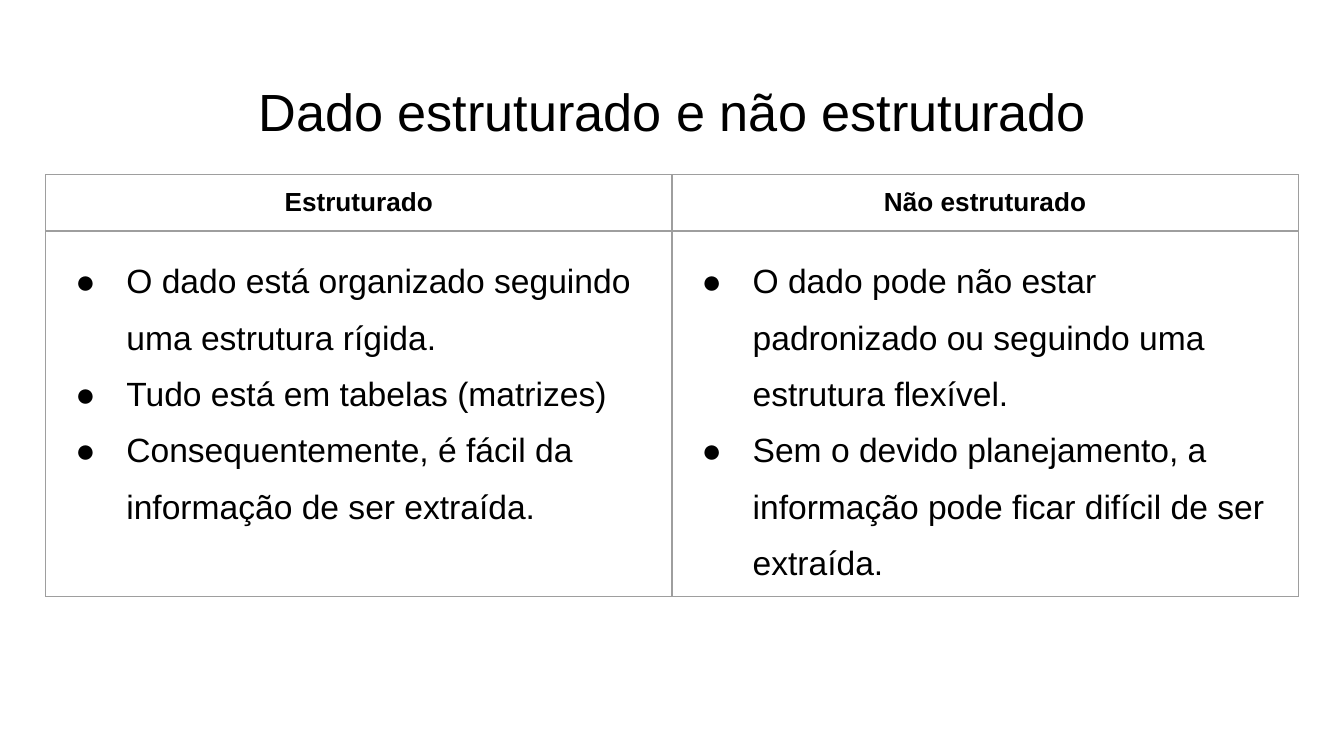
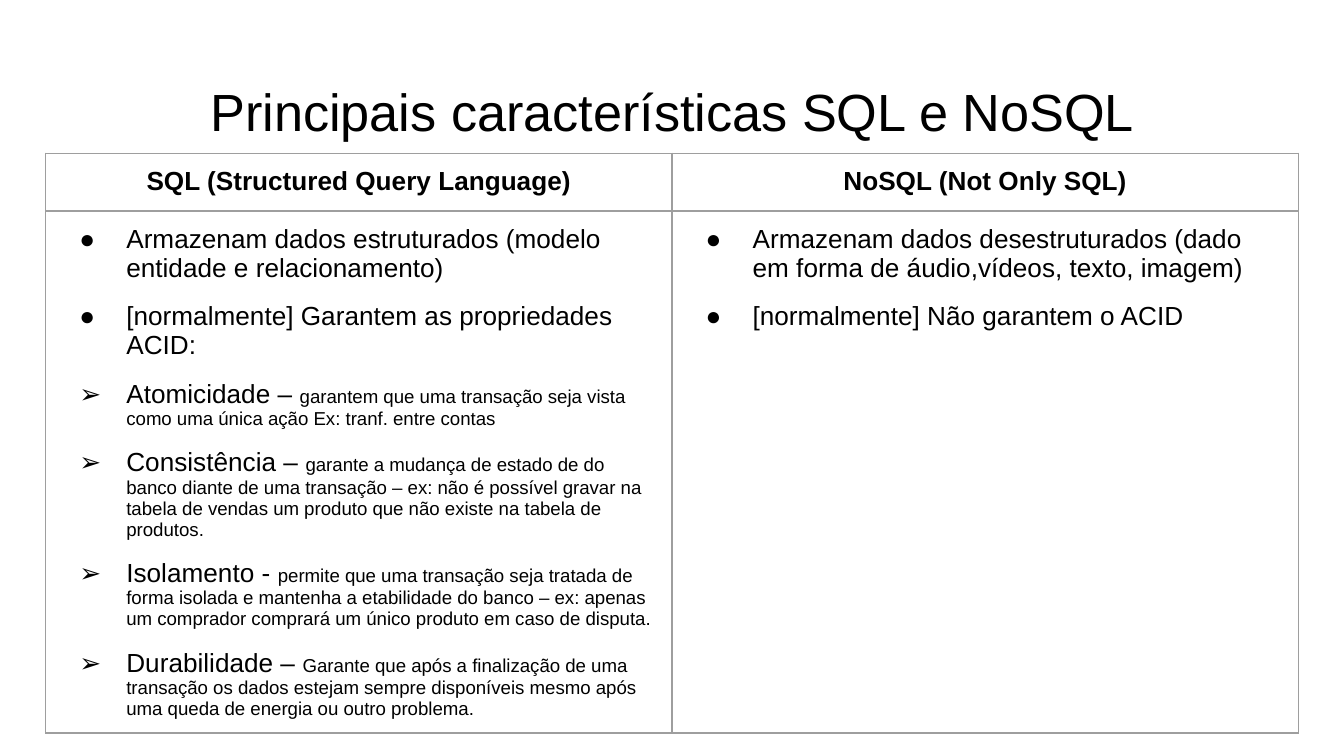
from dataclasses import dataclass

from lxml import etree
from pptx import Presentation
from pptx.dml.color import RGBColor
from pptx.enum.text import MSO_ANCHOR, MSO_AUTO_SIZE, PP_ALIGN
from pptx.oxml.ns import qn
from pptx.util import Inches, Pt

CENTER, LEFT = PP_ALIGN.CENTER, PP_ALIGN.LEFT
TOP, NO_FIT = MSO_ANCHOR.TOP, MSO_AUTO_SIZE.NONE
FONT, INK, GRID = "Arial", "000000", "9E9E9E"
WIDE = Inches(10)
HIGH = WIDE * 9 // 16
EDGE, WIDTH = Inches(0.34), Inches(9.32)
PAD = Inches(0.1)
PADS = {f"margin_{side}": PAD for side in ("left", "right", "top", "bottom")}
DOT, ARROW = "●", "➢"


@dataclass(frozen=True)
class Item:
    """A bullet: main text, an optional small note, mark and level."""
    text: str
    note: str = ""
    mark: str = DOT
    level: int = 0


@dataclass(frozen=True)
class Style:
    """Look of the lists in one table."""
    size: int
    hang: float
    line: float = 1.0
    gap: int = 0


@dataclass(frozen=True)
class Page:
    """A title above a table that compares two columns."""
    title: str
    top: float
    height: float
    rows: tuple[float, float]
    style: Style
    heads: tuple[str, str]
    lists: tuple[list[Item], list[Item]]


PAGES = [
    Page("Dado estruturado e não estruturado", 1.3, 3.28, (0.36, 2.53),
         Style(18, 0.38, line=1.5),
         ("Estruturado", "Não estruturado"),
         ([Item("O dado está organizado seguindo uma estrutura rígida."),
           Item("Tudo está em tabelas (matrizes)"),
           Item("Consequentemente, é fácil da informação de ser extraída.")],
          [Item("O dado pode não estar padronizado ou seguindo uma "
                "estrutura flexível."),
           Item("Sem o devido planejamento, a informação pode ficar "
                "difícil de ser extraída.")])),
    Page("Principais características SQL e NoSQL", 1.14, 4.36, (0.43, 3.39),
         Style(14, 0.35, gap=10),
         ("SQL (Structured Query Language)", "NoSQL (Not Only SQL)"),
         ([Item("Armazenam dados estruturados (modelo entidade e "
                "relacionamento)"),
           Item("[normalmente] Garantem as propriedades ACID:"),
           Item("Atomicidade – ", "garantem que uma transação seja vista "
                "como uma única ação Ex: tranf. entre contas", ARROW),
           Item("Consistência – ", "garante a mudança de estado de do banco "
                "diante de uma transação – ex: não é possível gravar na "
                "tabela de vendas um produto que não existe na tabela de "
                "produtos.", ARROW, 1),
           Item("Isolamento - ", "permite que uma transação seja tratada de "
                "forma isolada e mantenha a etabilidade do banco – ex: "
                "apenas um comprador comprará um único produto em caso de "
                "disputa.", ARROW, 1),
           Item("Durabilidade – ", "Garante que após a finalização de uma "
                "transação os dados estejam sempre disponíveis mesmo após "
                "uma queda de energia ou outro problema.", ARROW, 1)],
          [Item("Armazenam dados desestruturados (dado em forma de "
                "áudio,vídeos, texto, imagem)"),
           Item("[normalmente] Não garantem o ACID")])),
]


def color(code: str) -> RGBColor:
    """Turn a hex string into a colour."""
    return RGBColor.from_string(code)


def apply(target, **values) -> None:
    """Set each named value on the target."""
    for name, value in values.items():
        setattr(target, name, value)


def write(para, text: str, size: int, bold: bool = False) -> None:
    """Add a run in the deck's font."""
    run = para.add_run()
    run.text = text
    apply(run.font, name=FONT, size=Pt(size), bold=bold)
    run.font.color.rgb = color(INK)


def paint(parent, code: str) -> None:
    """Add a solid colour below an XML element."""
    etree.SubElement(parent, qn("a:srgbClr"), val=code)


def bullet(para, mark: str, hang: float) -> None:
    """Give a paragraph a hanging bullet."""
    props = para._p.get_or_add_pPr()
    props.set("marL", str(Inches(0.5)))
    props.set("indent", str(-Inches(hang)))
    paint(etree.SubElement(props, qn("a:buClr")), INK)
    etree.SubElement(props, qn("a:buFont"), typeface=FONT)
    etree.SubElement(props, qn("a:buChar"), char=mark)


def dress(cell) -> None:
    """Set a cell's margins, empty fill and four grey borders."""
    apply(cell, vertical_anchor=TOP, **PADS)
    props = cell._tc.get_or_add_tcPr()
    for side in ("lnL", "lnR", "lnT", "lnB"):
        line = etree.SubElement(props, qn(f"a:{side}"), w=str(Pt(0.75)))
        paint(etree.SubElement(line, qn("a:solidFill")), GRID)
    cell.fill.background()


def fill(frame, items: list[Item], style: Style) -> None:
    """Write a bullet list into a text frame."""
    for i, item in enumerate(items):
        para = frame.add_paragraph() if i else frame.paragraphs[0]
        apply(para, alignment=LEFT, level=item.level,
              line_spacing=style.line,
              space_before=Pt(style.gap if i else 0))
        bullet(para, item.mark, style.hang)
        write(para, item.text, style.size)
        if item.note:
            write(para, item.note, 10)


def head(slide, text: str) -> None:
    """Place and write the slide title."""
    shape = slide.shapes.title
    apply(shape, left=EDGE, top=Inches(0.49), width=WIDTH,
          height=Inches(0.63))
    frame = shape.text_frame
    apply(frame, word_wrap=True, auto_size=NO_FIT, vertical_anchor=TOP,
          **PADS)
    para = frame.paragraphs[0]
    para.alignment = CENTER
    write(para, text, 28)


def grid(slide, page: Page) -> None:
    """Draw the table with a head row and a row of lists."""
    shape = slide.shapes.add_table(2, 2, EDGE, Inches(page.top), WIDTH,
                                   Inches(page.height))
    table = shape.table
    apply(table, first_row=False, horz_banding=False)
    for row, size in zip(table.rows, page.rows):
        row.height = Inches(size)
    shape.height = Inches(page.height)
    for col, (name, items) in enumerate(zip(page.heads, page.lists)):
        top, body = table.cell(0, col), table.cell(1, col)
        dress(top)
        dress(body)
        para = top.text_frame.paragraphs[0]
        para.alignment = CENTER
        write(para, name, 14, bold=True)
        fill(body.text_frame, items, page.style)


def main() -> None:
    """Build and save the deck."""
    deck = Presentation()
    apply(deck, slide_width=WIDE, slide_height=HIGH)
    for page in PAGES:
        slide = deck.slides.add_slide(deck.slide_layouts[5])
        head(slide, page.title)
        grid(slide, page)
    deck.save("out.pptx")


main()
